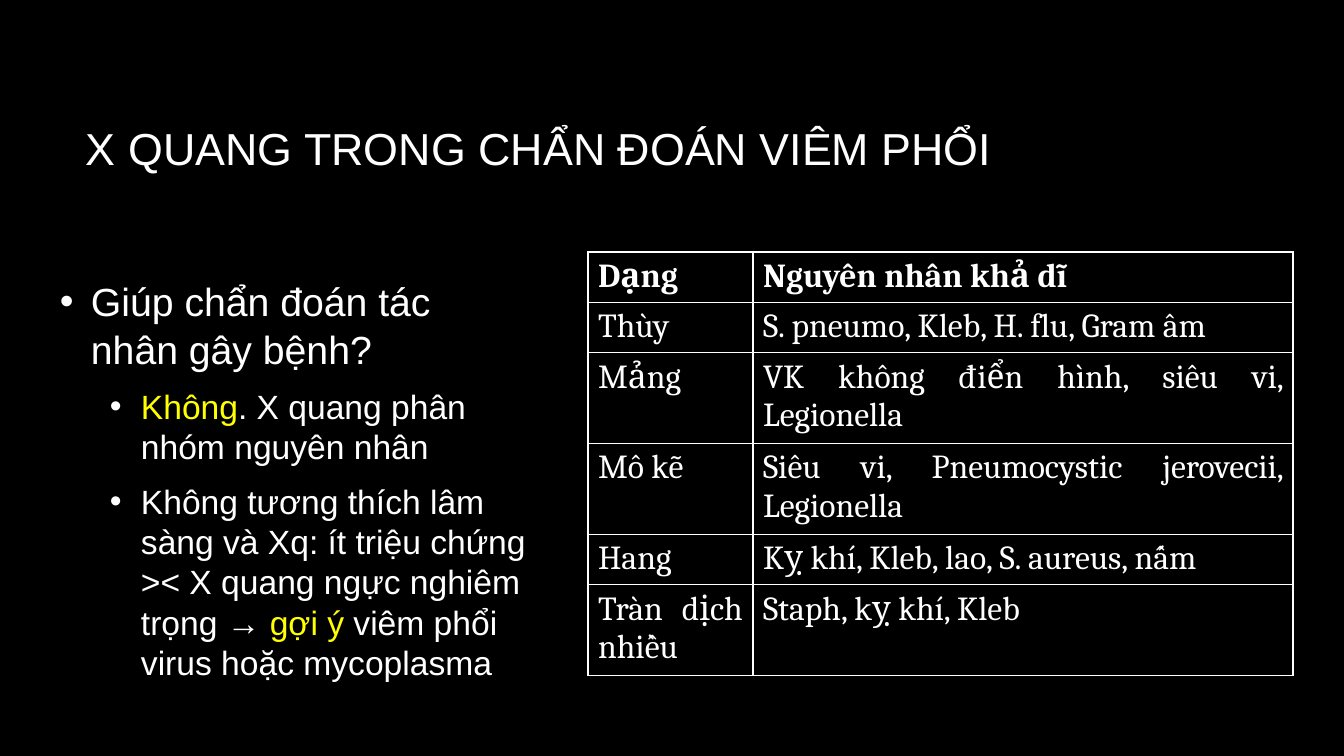
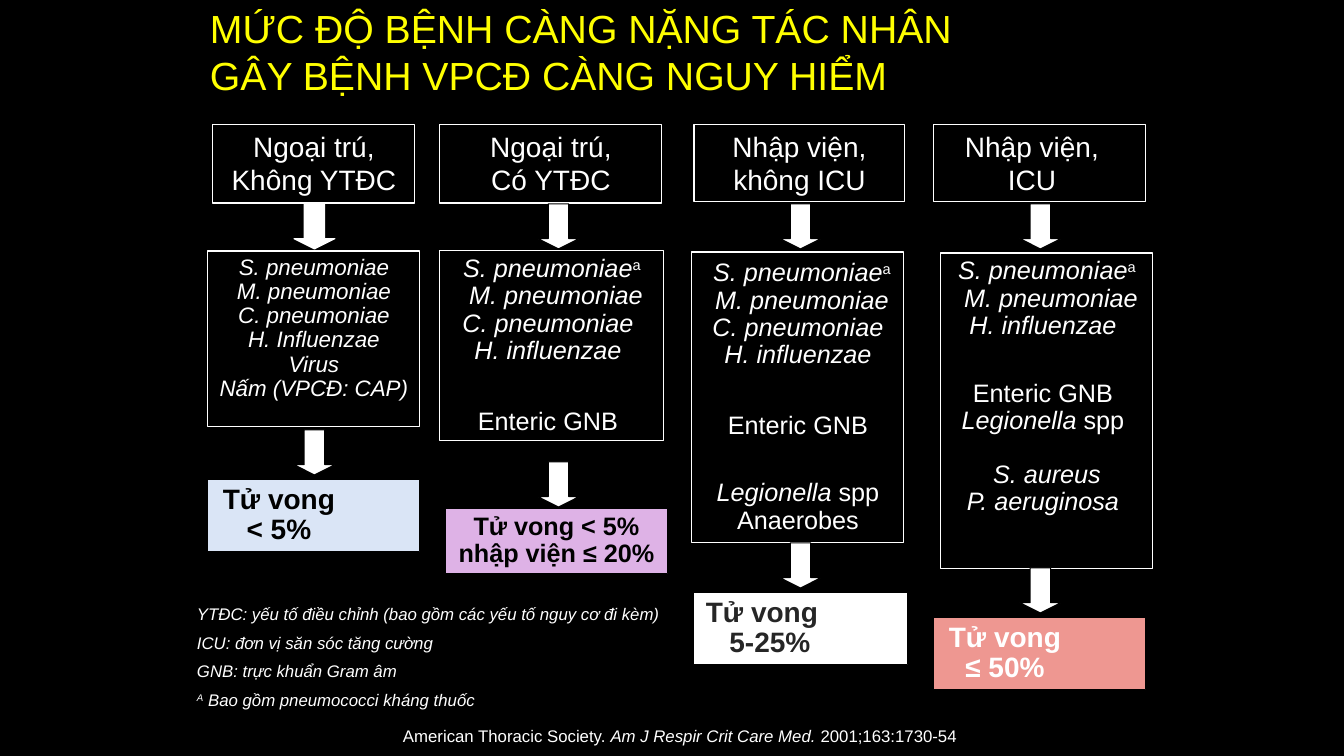
from lxml import etree
from pptx import Presentation
from pptx.dml.color import RGBColor
from pptx.enum.shapes import MSO_SHAPE
from pptx.enum.text import MSO_ANCHOR, PP_ALIGN
from pptx.oxml.ns import qn
from pptx.util import Pt

PX = 12192000 / 1344
RECTANGLE, DOWN_ARROW = MSO_SHAPE.RECTANGLE, MSO_SHAPE.DOWN_ARROW
TOP, MIDDLE = MSO_ANCHOR.TOP, MSO_ANCHOR.MIDDLE
LEFT, CENTER, JUSTIFY = PP_ALIGN.LEFT, PP_ALIGN.CENTER, PP_ALIGN.JUSTIFY

BLACK = RGBColor(0x00, 0x00, 0x00)
WHITE = RGBColor(0xFF, 0xFF, 0xFF)
YELLOW = RGBColor(0xFF, 0xFF, 0x00)
CHARCOAL = RGBColor(0x26, 0x26, 0x26)
PALE_BLUE = RGBColor(0xDA, 0xE5, 0xF6)
LILAC = RGBColor(0xDE, 0xB2, 0xE6)
SALMON = RGBColor(0xEE, 0x97, 0x91)


def add_box(page, place, kind=None, fill=None, line=None, anchor=TOP,
            inset_left=10, inset_top=5):
    """Add a preset shape, or a plain text box when no kind is given."""
    place = [round(length * PX) for length in place]
    if kind is None:
        box = page.shapes.add_textbox(*place)
    else:
        box = page.shapes.add_shape(kind, *place)
        box.shadow.inherit = False
        if fill is None:
            box.fill.background()
        else:
            box.fill.solid()
            box.fill.fore_color.rgb = fill
        box.line.color.rgb = line
        box.line.width = Pt(0.75)
    frame = box.text_frame
    frame.word_wrap = True
    frame.vertical_anchor = anchor
    frame.margin_left = round(inset_left * PX)
    frame.margin_right = round(10 * PX)
    frame.margin_top = round(inset_top * PX)
    frame.margin_bottom = round(5 * PX)
    return box


def write(frame, text, size=18, color=WHITE, font="Arial", bold=False,
          italic=False, align=LEFT, before=0, after=0, spacing=1.0, shift=0,
          bullet_at=None, level=0):
    """Write one paragraph; text is a string or a list of (text, changes)."""
    para = frame.paragraphs[0]
    if para.runs:
        para = frame.add_paragraph()
        para.space_before = Pt(before)
    para.alignment = align
    para.level = level
    para.space_after = Pt(after)
    para.line_spacing = spacing
    properties = para._p.get_or_add_pPr()
    # Move a centred line sideways by widening one margin
    if shift:
        properties.set("marL" if shift > 0 else "marR",
                       str(round(2 * abs(shift) * PX)))
    if bullet_at is not None:
        properties.set("marL", str(round((bullet_at + 31) * PX)))
        properties.set("indent", str(round(-31 * PX)))
        bullet_color = etree.SubElement(properties, qn("a:buClr"))
        etree.SubElement(bullet_color, qn("a:srgbClr"), val=str(WHITE))
        etree.SubElement(properties, qn("a:buFont"), typeface="Arial")
        etree.SubElement(properties, qn("a:buChar"), char="•")
    for words, changes in [(text, {})] if isinstance(text, str) else text:
        span = para.add_run()
        span.text = words
        span.font.name = font
        span.font.size = Pt(size)
        span.font.bold = bold
        span.font.italic = changes.get("italic", italic)
        span.font.color.rgb = changes.get("color", color)
        if changes.get("raised"):
            span._r.get_or_add_rPr().set("baseline", "30000")


deck = Presentation()
deck.slide_width, deck.slide_height = round(1344 * PX), round(756 * PX)

# Black pages with their titles
titles = [
    ("X QUANG TRONG CHẨN ĐOÁN VIÊM PHỔI", (76, 68, 1117, 160), 32, WHITE),
    ("MỨC ĐỘ BỆNH CÀNG NẶNG TÁC NHÂN GÂY BỆNH VPCĐ CÀNG NGUY HIỂM",
     (200, 0, 821, 103), 28, YELLOW),
]
pages = []
for title, place, size, color in titles:
    page = deck.slides.add_slide(deck.slide_layouts[6])
    page.background.fill.solid()
    page.background.fill.fore_color.rgb = BLACK
    write(add_box(page, place, anchor=MIDDLE).text_frame, title,
          size=size, color=color)
    pages.append(page)
xray_page, severity_page = pages

# X-ray page: bullets
highlight = {"color": YELLOW}
bullets = add_box(xray_page, (50, 228, 487, 504), anchor=MIDDLE).text_frame
write(bullets, "Giúp chẩn đoán tác nhân gây bệnh?", size=28, after=10,
      bullet_at=0)
for text in [
    [("Không", highlight), (". X quang phân nhóm nguyên nhân", {})],
    [("Không tương thích lâm sàng và Xq: ít triệu chứng >< X quang ngực "
      "nghiêm trọng → ", {}),
     ("gợi ý ", highlight), ("viêm phổi virus hoặc mycoplasma", {})],
]:
    write(bullets, text, size=24, after=10, bullet_at=50, level=1)

# X-ray page: table of patterns and likely causes
causes = [
    ("Dạng", "Nguyên nhân khả dĩ", 49),
    ("Thùy", "S. pneumo, Kleb, H. flu, Gram âm", 49),
    ("Mảng", "VK không điển hình, siêu vi, Legionella", 87),
    ("Mô kẽ", "Siêu vi, Pneumocystic jerovecii, Legionella", 87),
    ("Hang", "Kỵ khí, Kleb, lao, S. aureus, nấm", 49),
    ("Tràn dịch nhiều", "Staph, kỵ khí, Kleb", 87),
]
table = xray_page.shapes.add_table(
    len(causes), 2, round(588 * PX), round(252 * PX),
    round(705 * PX), round(408 * PX)).table
table.first_row = table.horz_banding = False
for column, width in zip(table.columns, (165, 540)):
    column.width = round(width * PX)
for row_index, (*texts, height) in enumerate(causes):
    table.rows[row_index].height = round(height * PX)
    for column_index, text in enumerate(texts):
        cell = table.cell(row_index, column_index)
        write(cell.text_frame, text, size=24, font="Cambria",
              bold=row_index == 0, align=JUSTIFY)
        cell_properties = cell._tc.get_or_add_tcPr()
        for side in ("lnL", "lnR", "lnT", "lnB"):
            border = etree.SubElement(cell_properties, qn(f"a:{side}"),
                                      w=str(Pt(1)))
            border_fill = etree.SubElement(border, qn("a:solidFill"))
            etree.SubElement(border_fill, qn("a:srgbClr"), val=str(WHITE))
        cell.fill.background()

# Severity page: each line is (text, sideways shift, space before)
upright = {"italic": False}
raised = {"italic": False, "raised": True}
pneumoniae = [("S. pneumoniae", {}), ("a", raised)]
enteric = [("Enteric GNB", upright)]
legionella = [("Legionella ", {}), ("spp", upright)]
columns = [
    {
        "header": ((213, 124, 202, 79), [("Ngoại trú,", 0), ("Không YTĐC", 0)]),
        "germs": ((208, 251, 212, 176), 16, 5, [
            ("S. pneumoniae", 0, 0), ("M. pneumoniae", 0, 0),
            ("C. pneumoniae", 0, 0), ("H. Influenzae", 0, 0),
            ("Virus", 0, 0), ("Nấm (VPCĐ: CAP)", 0, 0)]),
        "deaths": ((208, 480, 212, 72), PALE_BLUE, BLACK, 20,
                   [("Tử vong", -35), ("< 5%", 0)]),
        "arrows": (294, (204, WHITE), (430, BLACK)),
    },
    {
        "header": ((440, 124, 222, 79), [("Ngoại trú,", 0), ("Có YTĐC", 0)]),
        "germs": ((440, 251, 224, 190), 18, 5, [
            (pneumoniae, 0, 0), ("M. pneumoniae", 4, 0),
            ("C. pneumoniae", -4, 0), ("H. influenzae", 0, 0),
            (enteric, 0, 31)]),
        "deaths": ((445, 509, 223, 65), LILAC, BLACK, 18,
                   [("Tử vong < 5%", 0), ("nhập viện ≤ 20%", 0)]),
        "arrows": (538, (204, BLACK), (462, BLACK)),
    },
    {
        "header": ((694, 124, 211, 78), [("Nhập viện,", 0), ("không ICU", 0)]),
        "germs": ((692, 252, 212, 291), 18, 8, [
            (pneumoniae, 4, 0), ("M. pneumoniae", 4, 0),
            ("C. pneumoniae", 0, 0), ("H. influenzae", 0, 0),
            (enteric, 0, 31), (legionella, 0, 29),
            ([("Anaerobes", upright)], 0, 0)]),
        "deaths": ((694, 593, 214, 72), WHITE, CHARCOAL, 20,
                   [("Tử vong", -39), ("5-25%", 8)]),
        "arrows": (780, (204, BLACK), (543, BLACK)),
    },
    {
        "header": ((934, 124, 212, 78), [("Nhập viện,", -8), ("ICU", 0)]),
        "germs": ((941, 253, 212, 316), 18, 5, [
            (pneumoniae, 0, 0), ("M. pneumoniae", 4, 0),
            ("H. influenzae", -4, 0), (enteric, 0, 29), (legionella, 0, 0),
            ("S. aureus", 4, 19), ("P. aeruginosa", 0, 0)]),
        "deaths": ((934, 618, 212, 72), SALMON, WHITE, 20,
                   [("Tử vong", -35), ("≤ 50%", 0)]),
        "arrows": (1020, (204, BLACK), (568, BLACK)),
    },
]
for column in columns:
    # Patient group
    place, lines = column["header"]
    frame = add_box(severity_page, place, RECTANGLE, line=WHITE).text_frame
    for text, shift in lines:
        write(frame, text, size=20, align=CENTER, shift=shift)

    # Likely germs
    place, size, inset_top, lines = column["germs"]
    frame = add_box(severity_page, place, RECTANGLE, line=WHITE,
                    inset_top=inset_top).text_frame
    for text, shift, before in lines:
        write(frame, text, size=size, italic=True, align=CENTER, spacing=0.9,
              shift=shift, before=before)

    # Mortality
    place, fill, color, size, lines = column["deaths"]
    frame = add_box(severity_page, place, RECTANGLE, fill, BLACK).text_frame
    for text, shift in lines:
        write(frame, text, size=size, color=color, bold=True, align=CENTER,
              spacing=0.9, shift=shift)

    # Arrows between the three boxes
    arrow_left, *arrow_tops = column["arrows"]
    for arrow_top, outline in arrow_tops:
        arrow = add_box(severity_page, (arrow_left, arrow_top, 41, 45),
                        DOWN_ARROW, WHITE, outline)
        arrow.adjustments[0], arrow.adjustments[1] = 0.5, 0.25

# Severity page: abbreviations and reference
notes = add_box(severity_page, (197, 599, 488, 122), inset_left=0).text_frame
for text in [
    "YTĐC: yếu tố điều chỉnh (bao gồm các yếu tố nguy cơ đi kèm)",
    "ICU: đơn vị săn sóc tăng cường",
    "GNB: trực khuẩn Gram âm",
    [("A", {"raised": True, "italic": True}),
     (" Bao gồm pneumococci kháng thuốc", {})],
]:
    write(notes, text, size=12, italic=True, before=6)
reference = add_box(severity_page, (393, 721, 584, 30)).text_frame
write(reference, [("American Thoracic Society. ", {}),
                  ("Am J Respir Crit Care Med.", {"italic": True}),
                  (" 2001;163:1730-54", {})], size=12)

deck.save("out.pptx")
